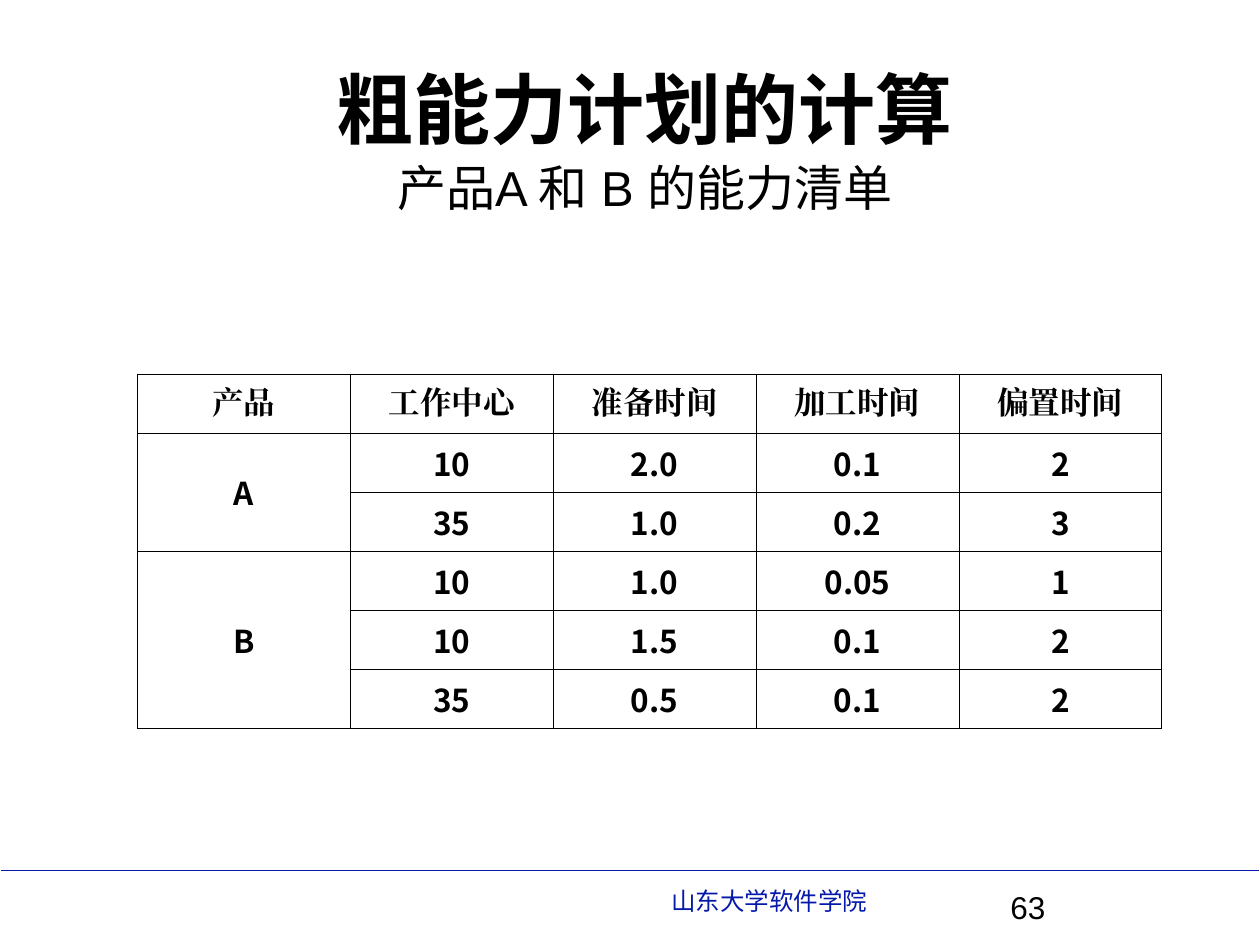
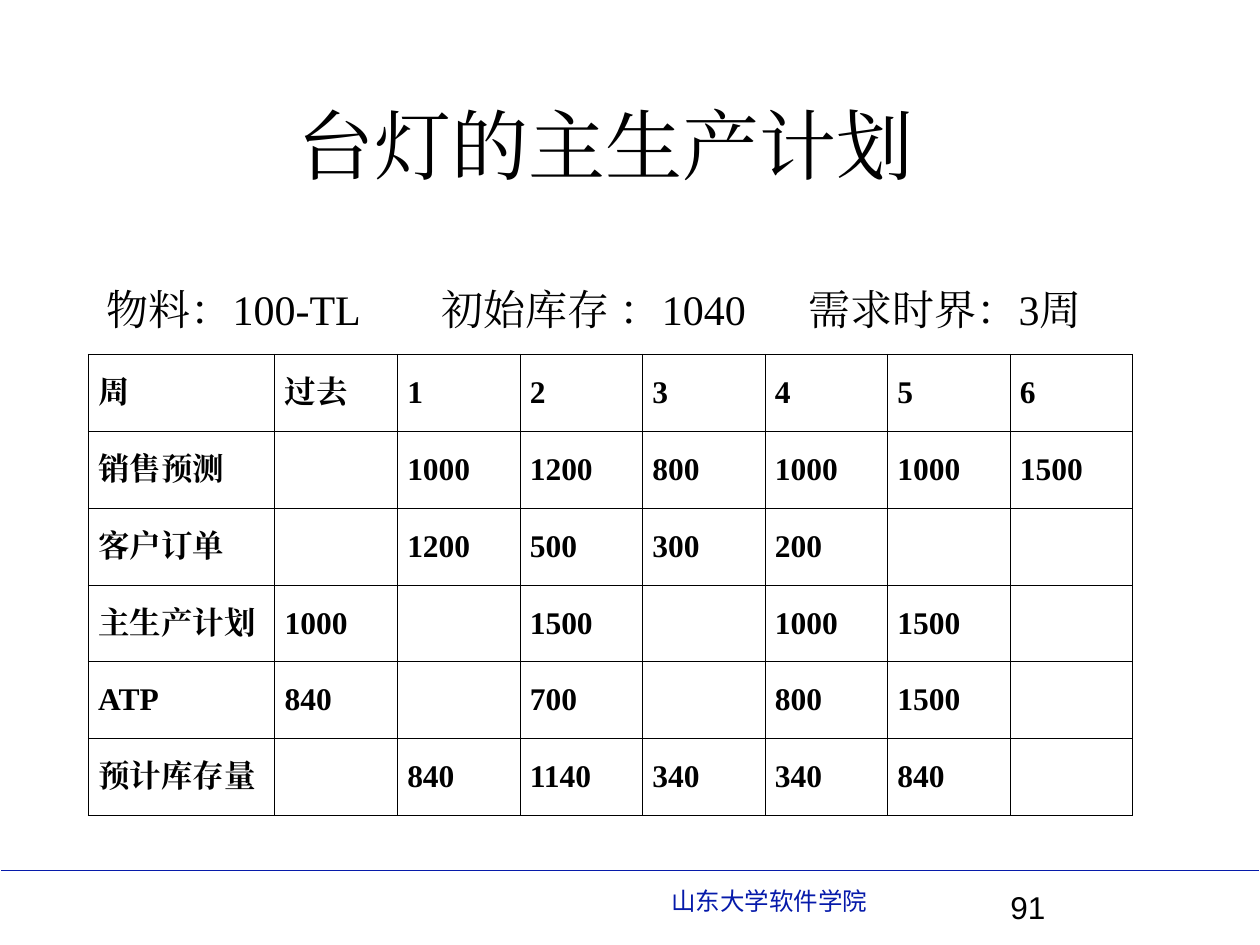
import dataclasses
import typing

import lxml.etree
import pptx
import pptx.dml.color
import pptx.enum.lang
import pptx.enum.shapes
import pptx.enum.text
import pptx.oxml
import pptx.oxml.ns
import pptx.util

Cm = pptx.util.Cm
Pt = pptx.util.Pt
Align = pptx.enum.text.PP_ALIGN
Anchor = pptx.enum.text.MSO_ANCHOR
qn = pptx.oxml.ns.qn

COLORS = {"ink": "000000", "paper": "FFFFFF", "blue": "061AAA"}
ARIAL = "Arial"
TIMES = "Times New Roman"
NOTO = "Noto Sans CJK SC"


@dataclasses.dataclass(frozen=True)
class Line:
    text: str
    size: float
    font: str = ARIAL
    bold: bool = False
    color: str = "ink"
    align: Align = Align.LEFT
    before: float = 0
    tabs: tuple[float, ...] = ()


@dataclasses.dataclass(frozen=True)
class Box:
    left: float
    top: float
    width: float
    height: float
    lines: tuple[Line, ...]
    anchor: Anchor = Anchor.TOP


@dataclasses.dataclass(frozen=True)
class Grid:
    left: float
    top: float
    widths: tuple[float, ...]
    height: float
    rows: tuple[tuple[str, ...], ...]
    align: Align
    body: str = TIMES
    spans: tuple[tuple[int, int], ...] = ()


@dataclasses.dataclass(frozen=True)
class Page:
    number: int
    title: Box
    grid: Grid


FOOTER = Box(13.28, 17.73, 11, 0.86, (Line("山东大学软件学院", 14, color="blue"),))

PAGES = (
    Page(
        63,
        Box(3.18, 1.12, 19.63, 3.3, (
            Line("粗能力计划的计算", 44, bold=True, align=Align.CENTER),
            Line("产品A 和 B 的能力清单", 28, align=Align.CENTER, before=2),
        )),
        Grid(
            2.77, 7.54, (4.29,) + (4.09,) * 4, 1.19,
            (
                ("产品", "工作中心", "准备时间", "加工时间", "偏置时间"),
                ("A", "10", "2.0", "0.1", "2"),
                ("", "35", "1.0", "0.2", "3"),
                ("B", "10", "1.0", "0.05", "1"),
                ("", "10", "1.5", "0.1", "2"),
                ("", "35", "0.5", "0.1", "2"),
            ),
            Align.CENTER, NOTO, ((1, 2), (3, 5)),
        ),
    ),
    Page(
        91,
        Box(0, 1.85, 24.41, 5, (
            Line("台灯的主生产计划", 44, TIMES, align=Align.CENTER),
            Line("\t物料：100-TL\t初始库存 ：1040\t需求时界：3周", 24, TIMES,
                 before=53, tabs=(1.9, 8.65, 16.05)),
        ), Anchor.MIDDLE),
        Grid(
            1.78, 7.14, (3.76,) + (2.47,) * 7, 1.55,
            (
                ("周", "过去", "1", "2", "3", "4", "5", "6"),
                ("销售预测", "", "1000", "1200", "800", "1000", "1000", "1500"),
                ("客户订单", "", "1200", "500", "300", "200", "", ""),
                ("主生产计划", "1000", "", "1500", "", "1000", "1500", ""),
                ("ATP", "840", "", "700", "", "800", "1500", ""),
                ("预计库存量", "", "840", "1140", "340", "340", "840", ""),
            ),
            Align.JUSTIFY,
        ),
    ),
)


def tint(name: str) -> pptx.dml.color.RGBColor:
    return pptx.dml.color.RGBColor.from_string(COLORS[name])


def write(para: typing.Any, line: Line) -> None:
    para.text = line.text
    para.alignment = line.align
    if line.before:
        para.space_before = Pt(line.before)
    if line.tabs:
        stops = lxml.etree.SubElement(para._p.get_or_add_pPr(), qn("a:tabLst"))
        for stop in line.tabs:
            lxml.etree.SubElement(stops, qn("a:tab"), pos=str(int(Cm(stop))), algn="l")
    for run in para.runs:
        font = run.font
        font.size = Pt(line.size)
        font.bold = line.bold
        font.name = line.font
        font.color.rgb = tint(line.color)
        font.language_id = pptx.enum.lang.MSO_LANGUAGE_ID.SIMPLIFIED_CHINESE
        latin = run._r.get_or_add_rPr().find(qn("a:latin"))
        asian = pptx.oxml.parse_xml(
            f'<a:ea {pptx.oxml.ns.nsdecls("a")} typeface="{line.font}"/>')
        latin.addnext(asian)


def add_box(slide: typing.Any, box: Box) -> None:
    shape = slide.shapes.add_textbox(
        Cm(box.left), Cm(box.top), Cm(box.width), Cm(box.height))
    frame = shape.text_frame
    frame.word_wrap = True
    frame.vertical_anchor = box.anchor
    for index, line in enumerate(box.lines):
        para = frame.add_paragraph() if index else frame.paragraphs[0]
        write(para, line)


def add_rule(slide: typing.Any) -> None:
    rule = slide.shapes.add_connector(
        pptx.enum.shapes.MSO_CONNECTOR.STRAIGHT,
        Cm(0.03), Cm(17.55), Cm(25.37), Cm(17.55))
    rule.line.color.rgb = tint("blue")
    rule.line.width = Pt(1)
    lxml.etree.SubElement(rule._element.spPr, qn("a:effectLst"))


def frame_cell(cell: typing.Any) -> None:
    props = cell._tc.get_or_add_tcPr()
    for side in ("lnL", "lnR", "lnT", "lnB"):
        edge = lxml.etree.SubElement(props, qn(f"a:{side}"), w=str(int(Pt(0.45))))
        fill = lxml.etree.SubElement(edge, qn("a:solidFill"))
        lxml.etree.SubElement(fill, qn("a:srgbClr"), val=COLORS["ink"])
    cell.fill.solid()
    cell.fill.fore_color.rgb = tint("paper")
    cell.vertical_anchor = Anchor.MIDDLE
    cell.margin_left = cell.margin_right = Cm(0.2)


def add_grid(slide: typing.Any, grid: Grid) -> None:
    count = len(grid.rows)
    table = slide.shapes.add_table(
        count, len(grid.widths), Cm(grid.left), Cm(grid.top),
        Cm(sum(grid.widths)), Cm(grid.height * count)).table
    table.first_row = table.horz_banding = False
    for column, width in zip(table.columns, grid.widths):
        column.width = Cm(width)
    for r, texts in enumerate(grid.rows):
        table.rows[r].height = Cm(grid.height)
        font = grid.body if r else TIMES
        for c, text in enumerate(texts):
            cell = table.cell(r, c)
            frame_cell(cell)
            if text:
                write(cell.text_frame.paragraphs[0],
                      Line(text, 18, font, True, align=grid.align))
    for first, last in grid.spans:
        table.cell(first, 0).merge(table.cell(last, 0))


def add_page(deck: typing.Any, page: Page) -> None:
    slide = deck.slides.add_slide(deck.slide_layouts[6])
    slide.background.fill.solid()
    slide.background.fill.fore_color.rgb = tint("paper")
    add_rule(slide)
    add_box(slide, FOOTER)
    add_box(slide, Box(20.12, 17.78, 5.28, 1.27, (Line(str(page.number), 18),)))
    add_grid(slide, page.grid)
    add_box(slide, page.title)


def main() -> None:
    deck = pptx.Presentation()
    deck.slide_width, deck.slide_height = Cm(25.4), Cm(19.05)
    for page in PAGES:
        add_page(deck, page)
    deck.save("out.pptx")


if __name__ == "__main__":
    main()
